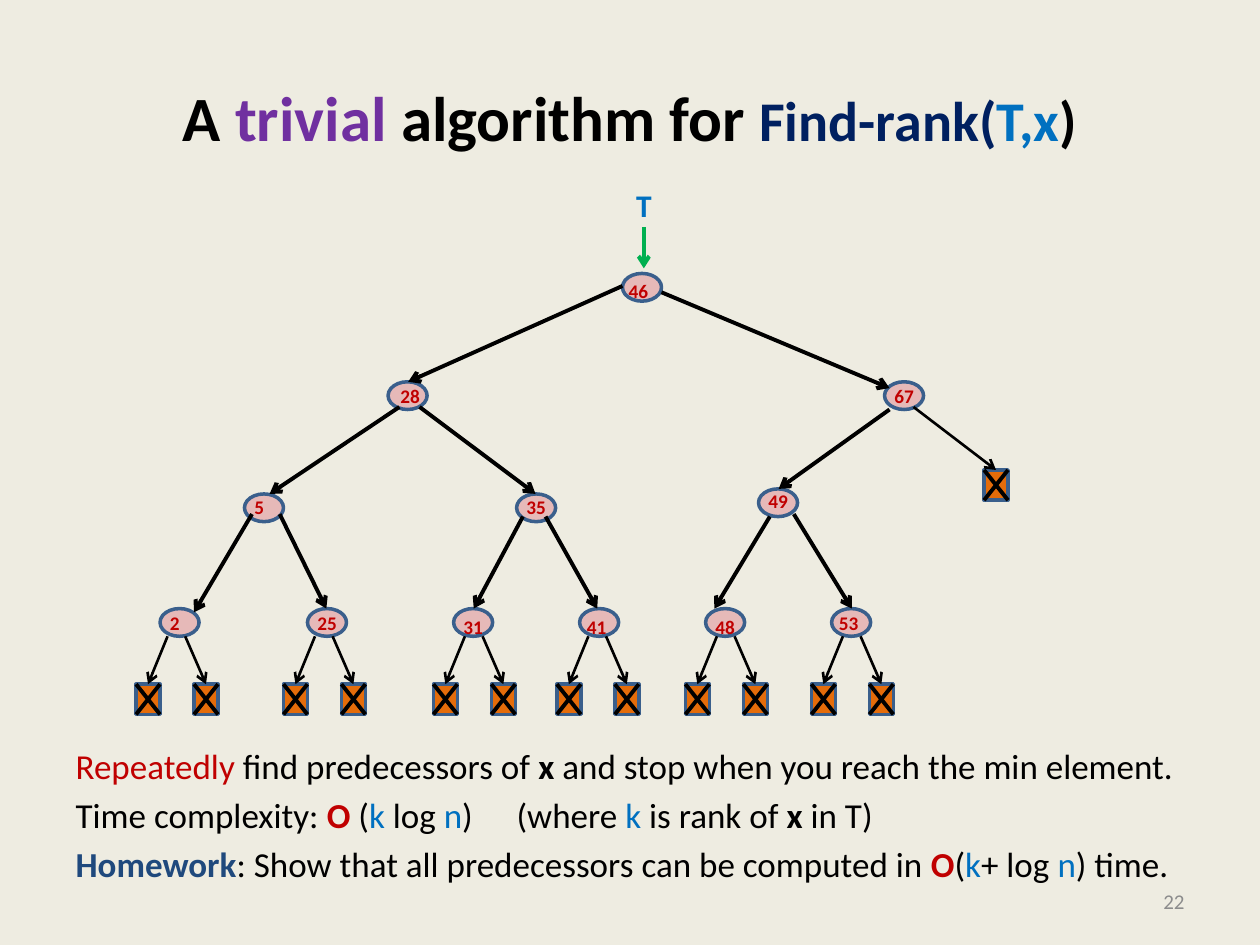
from lxml.etree import SubElement
from pptx import Presentation
from pptx.dml.color import RGBColor
from pptx.enum.shapes import MSO_CONNECTOR, MSO_SHAPE
from pptx.enum.text import MSO_ANCHOR, MSO_AUTO_SIZE, PP_ALIGN
from pptx.oxml.ns import qn
from pptx.util import Inches, Pt

BLACK = RGBColor(0x00, 0x00, 0x00)
RED = RGBColor(0xC0, 0x00, 0x00)
BLUE = RGBColor(0x00, 0x70, 0xC0)
NAVY = RGBColor(0x00, 0x20, 0x60)
SLATE = RGBColor(0x1F, 0x49, 0x7D)
PURPLE = RGBColor(0x70, 0x30, 0xA0)
GREEN = RGBColor(0x00, 0xB0, 0x50)
GREY = RGBColor(0x8C, 0x8C, 0x8C)
CREAM = RGBColor(0xEE, 0xEC, 0xE1)
PINK = RGBColor(0xE6, 0xB9, 0xB8)
ORANGE = RGBColor(0xE4, 0x6C, 0x0A)
EDGE = RGBColor(0x3A, 0x5F, 0x8C)

NODE_W, NODE_H = 0.31, 0.22
LEAF_W, LEAF_H = 0.19, 0.24
LEAF_TOP, LEAF_STEP = 5.43, 0.46

# value: (node left, node top, label left, label top)
NODES = {
    "46": (4.94, 2.17, 4.89, 2.17),
    "28": (3.08, 3.03, 3.08, 3.0),
    "67": (7.02, 3.03, 7.0, 3.0),
    "5": (1.94, 3.92, 1.92, 3.88),
    "35": (4.1, 3.92, 4.08, 3.88),
    "49": (6.02, 3.88, 6.0, 3.83),
    "2": (1.27, 4.83, 1.25, 4.8),
    "25": (2.44, 4.83, 2.42, 4.8),
    "31": (3.6, 4.83, 3.58, 4.83),
    "41": (4.6, 4.83, 4.56, 4.83),
    "48": (5.6, 4.83, 5.58, 4.83),
    "53": (6.6, 4.83, 6.56, 4.8),
}
# (from x, from y, to x, to y)
EDGES = [
    (4.94, 2.27, 3.24, 3.03), (5.25, 2.32, 7.06, 3.08),
    (3.17, 3.23, 2.14, 3.92), (3.33, 3.23, 4.25, 3.92),
    (7.06, 3.25, 6.18, 3.88),
    (2.0, 4.08, 1.54, 4.86), (2.22, 4.08, 2.59, 4.83),
    (4.15, 4.1, 3.76, 4.83), (4.33, 4.1, 4.74, 4.83),
    (6.11, 4.1, 5.67, 4.83), (6.3, 4.08, 6.76, 4.83),
]
LEAF_PAIRS = [1.08, 2.25, 3.44, 4.42, 5.44, 6.44]

TITLE = [("A", 36, BLACK, True), (" trivial ", 36, PURPLE, True),
         ("algorithm for ", 36, BLACK, True), ("Find-rank(", 32, NAVY, True),
         ("T,x", 32, BLUE, True), (")", 32, BLACK, True)]
LINES = [
    [("Repeatedly", RED, False), (" find predecessors of ", BLACK, False),
     ("x ", BLACK, True),
     ("and stop when you reach the min element.", BLACK, False)],
    [("Time complexity: ", BLACK, False), ("O ", RED, True),
     ("(", BLACK, False), ("k", BLUE, False), (" log ", BLACK, False),
     ("n", BLUE, False), (")\t(where ", BLACK, False), ("k", BLUE, False),
     (" is rank of ", BLACK, False), ("x", BLACK, True),
     (" in T)", BLACK, False)],
    [("Homework", SLATE, True),
     (": Show that all predecessors can be computed in ", BLACK, False),
     ("O", RED, True), ("(", BLACK, False), ("k", BLUE, False),
     ("+ log ", BLACK, False), ("n", BLUE, False),
     (") time.", BLACK, False)],
]


class Board:
    def __init__(self, slide, font):
        self.slide, self.font = slide, font
        fill = slide.background.fill
        fill.solid()
        fill.fore_color.rgb = CREAM

    def place(self, shape, left, top, width, height):
        shape.left, shape.top = Inches(left), Inches(top)
        shape.width, shape.height = Inches(width), Inches(height)

    def add_run(self, para, text, size, color, bold):
        run = para.add_run()
        run.text = text
        run.font.name, run.font.size = self.font, Pt(size)
        run.font.bold, run.font.color.rgb = bold, color

    def title(self, runs):
        shape = self.slide.shapes.title
        self.place(shape, 0.5, 0.3, 9, 1.25)
        frame = shape.text_frame
        frame.vertical_anchor = MSO_ANCHOR.MIDDLE
        frame.auto_size = MSO_AUTO_SIZE.NONE
        para = frame.paragraphs[0]
        para.alignment = PP_ALIGN.CENTER
        for run in runs:
            self.add_run(para, *run)

    def body(self, lines):
        shape = self.slide.placeholders[1]
        self.place(shape, 0.5, 5.86, 9, 1.31)
        frame = shape.text_frame
        frame.auto_size = MSO_AUTO_SIZE.NONE
        for i, runs in enumerate(lines):
            para = frame.add_paragraph() if i else frame.paragraphs[0]
            para.space_before = Pt(4 if i else 0)
            props = para._p.get_or_add_pPr()
            props.set("marL", "0")
            props.set("indent", "0")
            SubElement(props, qn("a:buNone"))
            if any("\t" in text for text, *_ in runs):
                tabs = SubElement(props, qn("a:tabLst"))
                SubElement(tabs, qn("a:tab"), pos=str(Inches(3.66)), algn="l")
            for text, color, bold in runs:
                self.add_run(para, text, 20, color, bold)

    def label(self, text, left, top, width, height, size, color,
              bold=True, align=PP_ALIGN.LEFT, wrap=False):
        box = self.slide.shapes.add_textbox(
            Inches(left), Inches(top), Inches(width), Inches(height))
        box.text_frame.word_wrap = wrap
        para = box.text_frame.paragraphs[0]
        para.alignment = align
        self.add_run(para, text, size, color, bold)
        return box

    def shape(self, kind, left, top, width, height, color):
        item = self.slide.shapes.add_shape(
            kind, Inches(left), Inches(top), Inches(width), Inches(height))
        item.shadow.inherit = False
        item.fill.solid()
        item.fill.fore_color.rgb = color
        item.line.color.rgb, item.line.width = EDGE, Pt(2)
        return item

    def line(self, x1, y1, x2, y2, width=2.25, color=BLACK, arrow=False):
        item = self.slide.shapes.add_connector(
            MSO_CONNECTOR.STRAIGHT,
            Inches(x1), Inches(y1), Inches(x2), Inches(y2))
        item.line.color.rgb, item.line.width = color, Pt(width)
        if arrow:
            SubElement(item.line._get_or_add_ln(), qn("a:tailEnd"), type="arrow")
        SubElement(item._element.spPr, qn("a:effectLst"))
        return item

    def leaf(self, left, top, x, y):
        """Crossed-out box with an arrow coming from (x, y)."""
        box = self.shape(MSO_SHAPE.RECTANGLE, left, top, LEAF_W, LEAF_H, ORANGE)
        right, low = left + LEAF_W, top + LEAF_H
        self.line(right, top, left, low)
        self.line(left, top, right, low)
        link = self.line(x, y, left + LEAF_W / 2, top, 1.5, arrow=True)
        link.end_connect(box, 0)


def main():
    deck = Presentation()
    deck.slide_width, deck.slide_height = Inches(10), Inches(7.5)
    board = Board(deck.slides.add_slide(deck.slide_layouts[1]), "Calibri")
    board.title(TITLE)
    board.body(LINES)
    number = board.label("22", 7.17, 6.95, 2.33, 0.4, 12, GREY, False,
                         PP_ALIGN.RIGHT, True)
    number.text_frame.vertical_anchor = MSO_ANCHOR.MIDDLE

    for left, top, *_ in NODES.values():
        board.shape(MSO_SHAPE.OVAL, left, top, NODE_W, NODE_H, PINK)
    for edge in EDGES:
        board.line(*edge, arrow=True)
    board.line(5.11, 1.8, 5.11, 2.13, color=GREEN, arrow=True)
    board.label("T", 4.95, 1.43, 0.55, 0.4, 18, BLUE, wrap=True)
    for value, (_, _, left, top) in NODES.items():
        width = 0.2 + 0.08 * len(value)
        board.label(value, left, top, width, 0.29, 11, RED)

    for left in LEAF_PAIRS:
        right = left + LEAF_STEP
        board.leaf(left, LEAF_TOP, left + 0.25, 5.05)
        board.leaf(right, LEAF_TOP, right - 0.07, 5.05)
    board.leaf(7.81, 3.73, 7.25, 3.23)
    deck.save("out.pptx")


if __name__ == "__main__":
    main()
